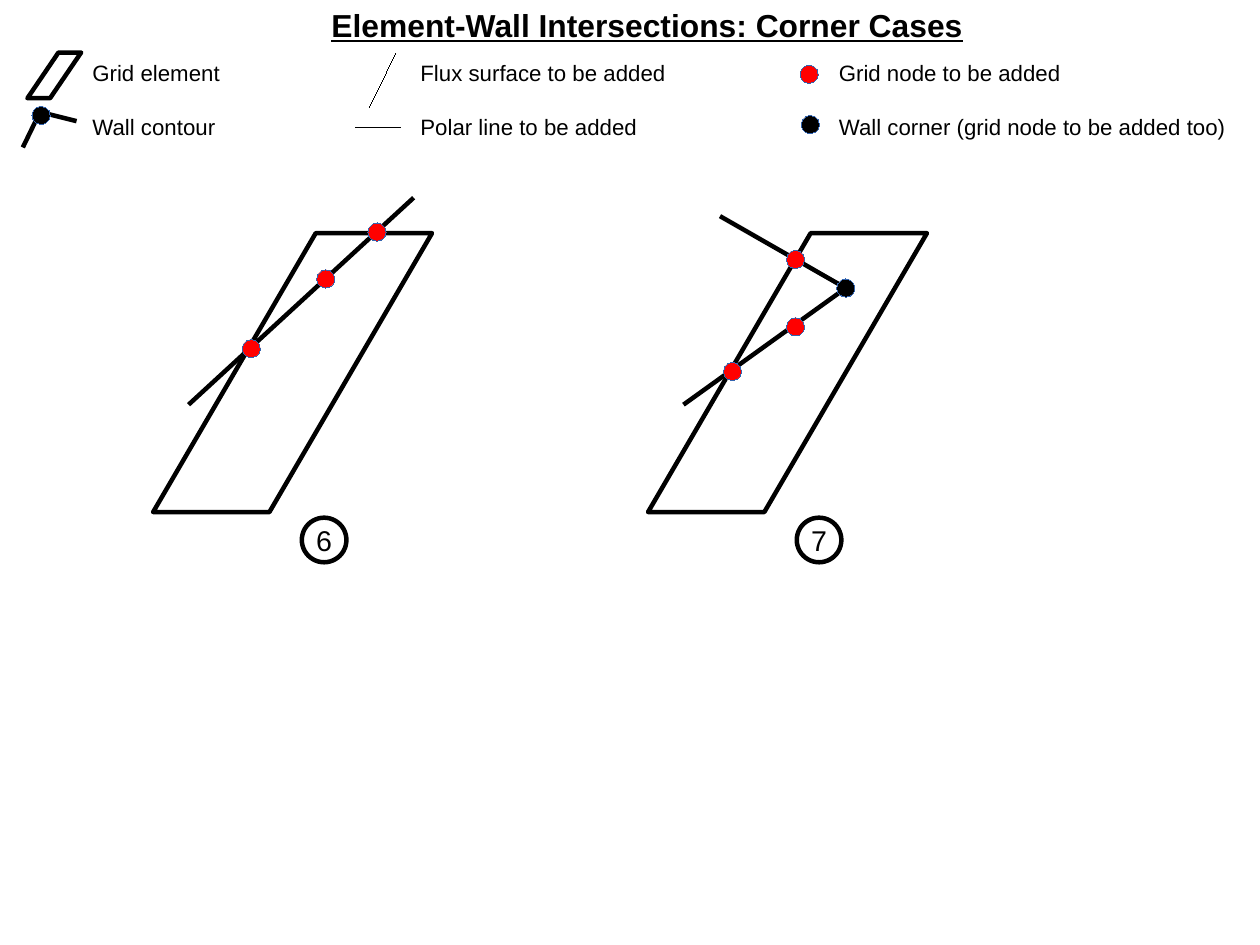
from pptx import Presentation
from pptx.dml.color import RGBColor
from pptx.enum.shapes import MSO_CONNECTOR, MSO_SHAPE
from pptx.enum.text import MSO_ANCHOR, MSO_AUTO_SIZE, PP_ALIGN
from pptx.oxml.ns import qn
from pptx.util import Cm, Inches, Pt

BLACK = RGBColor(0x00, 0x00, 0x00)
RED = RGBColor(0xFF, 0x00, 0x00)
BLUE = RGBColor(0x34, 0x65, 0xAF)
STRAIGHT = MSO_CONNECTOR.STRAIGHT
PARALLELOGRAM, OVAL = MSO_SHAPE.PARALLELOGRAM, MSO_SHAPE.OVAL
TOP, MIDDLE = MSO_ANCHOR.TOP, MSO_ANCHOR.MIDDLE
LEFT, CENTER = PP_ALIGN.LEFT, PP_ALIGN.CENTER
NO_AUTOFIT = MSO_AUTO_SIZE.NONE

FONT = "Arial"
# A width of exactly 0 would fall back to the theme's line width
THICK, HAIRLINE = 2.83, 0.01
NODE, BADGE = 0.16, 0.39

# Legend grid: left edge and width of each label column, row pitch
LABEL_COLUMNS = [(0.71, 1.73), (3.58, 2.6), (7.24, 3.75)]
ROW_HEIGHT = 0.47
LABELS = [
    ["Grid element", "Flux surface to be added", "Grid node to be added"],
    ["Wall contour", "Polar line to be added",
     "Wall corner (grid node to be added too)"],
]

# Corner cases: points in percent of the element's box
CASE_SIZE, CASE_TOP, CASE_LEFT, CASE_PITCH = 2.44, 2.04, 1.34, 4.33
CASES = [
    dict(number="6", wall=[(93.4, -12.7), (12.7, 61.5)], corners=[],
         nodes=[(35.2, 41.4), (80.3, -0.4), (61.9, 16.4)]),
    dict(number="7", wall=[(12.7, 61.5), (70.9, 19.7), (25.8, -6.1)],
         corners=[(70.9, 19.7)],
         nodes=[(30.3, 49.6), (52.9, 9.4), (52.9, 33.6)]),
]


def write(shape, text, size=14, bold=False, underline=False, align=LEFT,
          anchor=TOP, wrap=True, insets=(0.1, 0.05)):
    tf = shape.text_frame
    tf.auto_size = NO_AUTOFIT
    tf.word_wrap = wrap
    tf.vertical_anchor = anchor
    tf.margin_left = tf.margin_right = Inches(insets[0])
    tf.margin_top = tf.margin_bottom = Inches(insets[1])
    p = tf.paragraphs[0]
    p.alignment = align
    r = p.add_run()
    r.text = text
    r.font.name, r.font.size = FONT, Pt(size)
    r.font.bold, r.font.underline = bold, underline
    r.font.color.rgb = BLACK


def add_shape(s, kind, x, y, w, h, fill=None, line=BLACK, width=THICK):
    sp = s.shapes.add_shape(kind, Inches(x), Inches(y), Inches(w), Inches(h))
    sp.shadow.inherit = False
    if fill is None:
        sp.fill.background()
    else:
        sp.fill.solid()
        sp.fill.fore_color.rgb = fill
    sp.line.color.rgb = line
    sp.line.width = Pt(width)
    return sp


def add_element(s, x, y, w, h, slant):
    add_shape(s, PARALLELOGRAM, x, y, w, h).adjustments[0] = slant


def add_node(s, x, y, color):
    add_shape(s, OVAL, x - NODE / 2, y - NODE / 2, NODE, NODE,
              fill=color, line=BLUE, width=HAIRLINE)


def add_path(s, points, width):
    for (x1, y1), (x2, y2) in zip(points, points[1:]):
        c = s.shapes.add_connector(
            STRAIGHT, Inches(x1), Inches(y1), Inches(x2), Inches(y2))
        c.line.color.rgb = BLACK
        c.line.width = Pt(width)
        sp_pr = c._element.spPr
        sp_pr.append(sp_pr.makeelement(qn("a:effectLst"), {}))


def add_title(s, x, y, w, h):
    title = s.shapes.title
    title.left, title.top = Inches(x), Inches(y)
    title.width, title.height = Inches(w), Inches(h)
    write(title, "Element-Wall Intersections: Corner Cases",
          size=20, bold=True, underline=True)


def add_legend(s, top):
    # Symbols stand to the left of their labels
    element_x, line_x, node_x = [x for x, _ in LABEL_COLUMNS]
    second = top + ROW_HEIGHT
    add_element(s, element_x - 0.47, top - 0.01, 0.47, 0.4, 0.68)
    add_path(s, [(element_x - 0.51, second + 0.35),
                 (element_x - 0.36, second + 0.04),
                 (element_x - 0.04, second + 0.12)], THICK)
    add_node(s, element_x - 0.35, second + 0.07, BLACK)
    add_path(s, [(line_x - 0.35, second), (line_x - 0.12, top)], HAIRLINE)
    add_path(s, [(line_x - 0.47, second + 0.18),
                 (line_x - 0.08, second + 0.18)], HAIRLINE)
    add_node(s, node_x - 0.16, top + 0.18, RED)
    add_node(s, node_x - 0.15, second + 0.15, BLACK)

    # Labels
    for row, labels in enumerate(LABELS):
        for (x, w), label in zip(LABEL_COLUMNS, labels):
            tb = s.shapes.add_textbox(
                Inches(x), Inches(top + row * ROW_HEIGHT), Inches(w), Inches(0.32))
            write(tb, label)


def add_case(s, x, y, size, number, wall, corners, nodes):
    def place(point):
        return x + point[0] / 100 * size, y + point[1] / 100 * size

    add_element(s, x, y, size, size, 0.583)
    add_path(s, [place(point) for point in wall], THICK)
    for points, color in ((nodes, RED), (corners, BLACK)):
        for point in points:
            add_node(s, *place(point), color)

    # Number below the element
    cx, cy = place((61.3, 110))
    badge = add_shape(s, OVAL, cx - BADGE / 2, cy - BADGE / 2, BADGE, BADGE)
    write(badge, number, size=18, align=CENTER, anchor=MIDDLE, wrap=False,
          insets=(0.12, 0.07))


def main():
    prs = Presentation()
    prs.slide_width, prs.slide_height = Cm(28), Cm(21)
    s = prs.slides.add_slide(prs.slide_layouts[5])
    add_title(s, 2.8, 0, 6.38, 0.41)
    add_legend(s, ROW_HEIGHT)
    for i, case in enumerate(CASES):
        add_case(s, CASE_LEFT + i * CASE_PITCH, CASE_TOP, CASE_SIZE, **case)
    prs.save("out.pptx")


if __name__ == "__main__":
    main()
